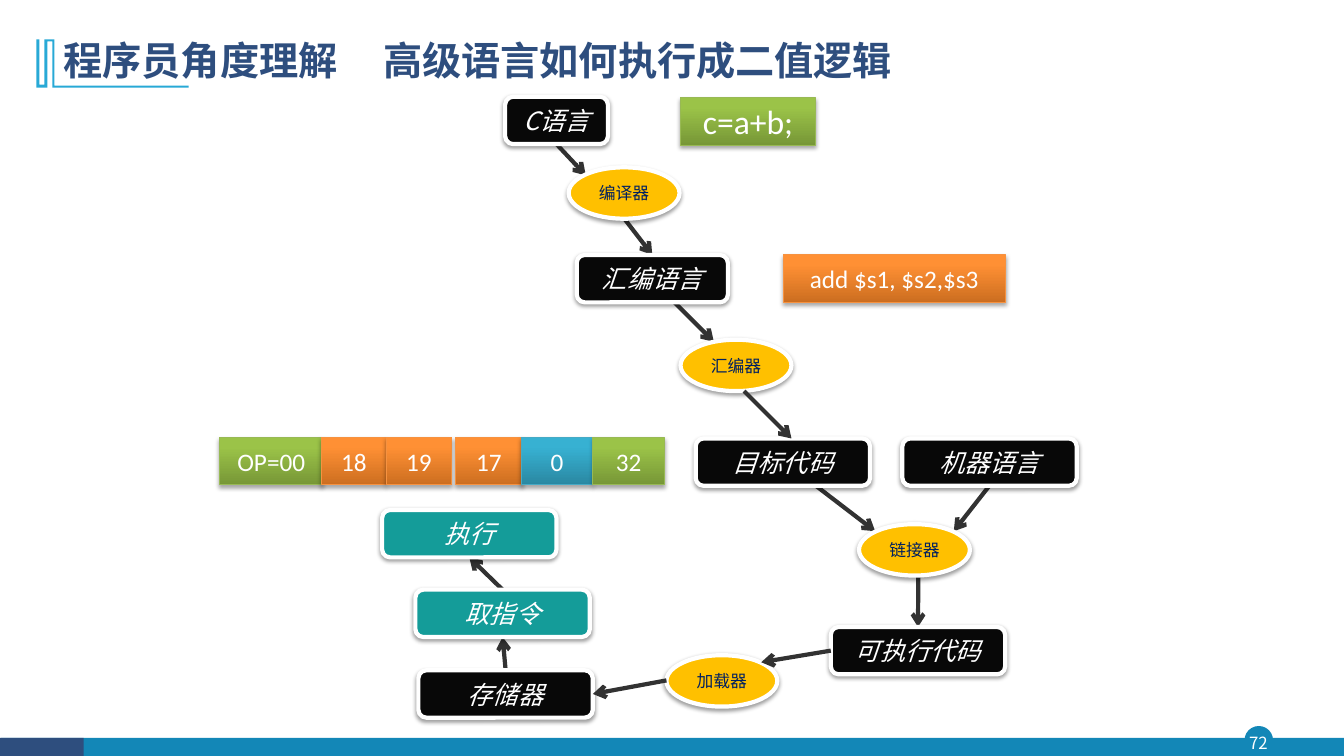
import pptx
import pptx.dml.color
import pptx.enum.shapes
import pptx.enum.text
import pptx.oxml
import pptx.oxml.ns
import pptx.util

PX = 9144  # EMU in one px, 100 px to the inch
RGB = pptx.dml.color.RGBColor
WHITE = RGB(0xFF, 0xFF, 0xFF)
BLACK = RGB(0x08, 0x08, 0x08)
TEAL = RGB(0x14, 0x9C, 0x99)
GOLD = RGB(0xFF, 0xC0, 0x00)
DARK = RGB(0x00, 0x20, 0x60)
NAVY = RGB(0x2E, 0x4E, 0x7E)
BLUE = RGB(0x13, 0x87, 0xB7)
SKY = RGB(0x28, 0xA9, 0xD6)
GREY = RGB(0x32, 0x32, 0x32)
# Bottom, top and line colours of the shaded cells
GREEN = RGB(0x77, 0x97, 0x37), RGB(0x9B, 0xC3, 0x48), RGB(0x98, 0xB9, 0x55)
ORANGE = RGB(0xCC, 0x6E, 0x20), RGB(0xFF, 0x90, 0x34), RGB(0xF6, 0x92, 0x40)
AQUA = RGB(0x2A, 0x88, 0xA2), RGB(0x37, 0xB1, 0xD2), RGB(0x46, 0xAA, 0xC5)

KIND = pptx.enum.shapes.MSO_SHAPE
ALIGN = pptx.enum.text.PP_ALIGN
HAN = "Noto Sans CJK SC"
TOP, LEFT, BOTTOM, RIGHT = range(4)


def px(*nums):
    return [num * PX for num in nums]


def node(parent, tag, **attrs):
    child = pptx.oxml.parse_xml(f"<a:{tag} {pptx.oxml.ns.nsdecls('a')}/>")
    for key, val in attrs.items():
        child.set(key, str(val))
    parent.append(child)
    return child


def write(shape, text, size=18, color=WHITE, face=HAN, bold=False,
          slant=False, align=ALIGN.CENTER, wrap=False, tab=None):
    frame = shape.text_frame
    frame.word_wrap = wrap
    frame.vertical_anchor = pptx.enum.text.MSO_ANCHOR.MIDDLE
    para = frame.paragraphs[0]
    para.alignment = align
    if tab:
        stops = node(para._p.get_or_add_pPr(), "tabLst")
        node(stops, "tab", pos=tab * PX, algn="l")
    run = para.add_run()
    run.text = text
    font = run.font
    font.name, font.size = face, pptx.util.Pt(size)
    font.bold, font.italic = bold, slant
    font.color.rgb = color
    node(run._r.get_or_add_rPr(), "ea", typeface=face)
    return para


def shade(shape, blur, dist, alpha):
    list_ = shape._element.spPr.find(pptx.oxml.ns.qn("a:effectLst"))
    cast = node(list_, "outerShdw", blurRad=pptx.util.Pt(blur),
                dist=pptx.util.Pt(dist), dir=5400000, rotWithShape=0)
    tint = node(cast, "srgbClr", val="000000")
    node(tint, "alpha", val=alpha * 1000)


def plain(slide, kind, at, fill, line=None, width=1):
    shape = slide.shapes.add_shape(kind, *px(*at))
    shape.shadow.inherit = False
    shape.fill.solid()
    shape.fill.fore_color.rgb = fill
    if line is None:
        shape.line.fill.background()
    else:
        shape.line.color.rgb = line
        shape.line.width = pptx.util.Pt(width)
    return shape


def stage(slide, text, x, y, w=173, fill=BLACK):
    box = plain(slide, KIND.ROUNDED_RECTANGLE, (x, y, w, 47), fill, WHITE, 3)
    shade(box, 3.1, 1.6, 38)
    write(box, text, slant=True)
    return box


def tool(slide, text, x, y):
    oval = plain(slide, KIND.OVAL, (x, y, 110, 51), GOLD, WHITE, 3)
    shade(oval, 3.1, 1.6, 38)
    write(oval, text, size=12, color=DARK)


def cell(slide, text, x, y, w, tone, size=18):
    low, high, edge = tone
    box = plain(slide, KIND.RECTANGLE, (x, y, w, 47), low, edge, 0.75)
    box.fill.gradient()
    box.fill.gradient_angle = 90
    for stop, color, place in zip(box.fill.gradient_stops, (low, high), (0, 0.8)):
        stop.color.rgb = color
        stop.position = place
    shade(box, 3.1, 1.8, 35)
    write(box, text, size=size, face="Calibri")


def link(slide, ends, start=None, stop=None, back=True):
    line = slide.shapes.add_connector(
        pptx.enum.shapes.MSO_CONNECTOR.STRAIGHT, *px(*ends))
    if start:
        line.begin_connect(*start)
    if stop:
        line.end_connect(*stop)
    line.line.color.rgb = GREY
    line.line.width = pptx.util.Pt(3)
    node(line.line._get_or_add_ln(), "tailEnd", type="arrow")
    node(line._element.spPr, "effectLst")
    if back:
        slide.shapes._spTree.insert(2, line._element)


def frame(slide):
    # Footer bar and page number
    plain(slide, KIND.OVAL, (1235, 721, 27, 27), BLUE, BLUE)
    plain(slide, KIND.RECTANGLE, (1, 732, 1332, 18), BLUE)
    plain(slide, KIND.RECTANGLE, (0, 732, 83, 18), NAVY)
    page = slide.shapes.add_textbox(*px(1232, 721, 32, 31))
    text = page.text_frame
    text.margin_left = text.margin_right = 0
    text.margin_top = text.margin_bottom = 0
    write(page, "72", size=12)

    # Bracket beside the title
    pen = slide.shapes.build_freeform(54, 39, scale=PX)
    pen.add_line_segments([
        (54, 85), (187, 85), (187, 87), (52, 87), (52, 41), (47, 41), (47, 87),
        (36, 87), (36, 39), (39, 39), (39, 84), (44, 84), (44, 39)])
    mark = pen.convert_to_shape()
    mark.shadow.inherit = False
    mark.fill.solid()
    mark.fill.fore_color.rgb = SKY
    mark.line.fill.background()

    # Title
    title = slide.shapes.title
    title.left, title.top, title.width, title.height = px(53, 28, 1150, 68)
    para = write(title, "程序员角度理解\t高级语言如何执行成二值逻辑", size=28,
                 color=NAVY, bold=True, align=ALIGN.LEFT, wrap=True, tab=317)
    para.line_spacing = 0.9


def main():
    deck = pptx.Presentation()
    deck.slide_width, deck.slide_height = px(1333, 750)
    slide = deck.slides.add_slide(deck.slide_layouts[5])
    frame(slide)

    # Code samples and instruction fields
    cell(slide, "c=a+b;", 675, 97, 134, GREEN, size=24)
    cell(slide, "add $s1, $s2,$s3", 777, 253, 220, ORANGE)
    for text, x, w, tone in [
            ("OP=00", 218, 102, GREEN), ("18", 319, 64, ORANGE),
            ("19", 383, 65, ORANGE), ("17", 452, 66, ORANGE),
            ("0", 517, 71, AQUA), ("32", 588, 71, GREEN)]:
        cell(slide, text, x, 434, w, tone)

    # Program forms and tools
    source = stage(slide, "C语言", 501, 96, w=102)
    asm = stage(slide, "汇编语言", 572, 253, w=150)
    stage(slide, "目标代码", 690, 435)
    stage(slide, "机器语言", 895, 435)
    binary = stage(slide, "可执行代码", 824, 622)
    store = stage(slide, "存储器", 415, 665)
    fetch = stage(slide, "取指令", 412, 585, fill=TEAL)
    run = stage(slide, "执行", 379, 506, fill=TEAL)
    for text, x, y in [("编译器", 564, 166), ("汇编器", 675, 337),
                       ("链接器", 852, 520), ("加载器", 661, 650)]:
        tool(slide, text, x, y)

    # Arrows
    link(slide, (553, 143, 581, 174), start=(source, BOTTOM))
    link(slide, (620, 218, 647, 253), stop=(asm, TOP))
    link(slide, (664, 295, 708, 339))
    link(slide, (738, 388, 785, 435), back=False)
    link(slide, (808, 481, 868, 527))
    link(slide, (982, 481, 946, 527))
    link(slide, (911, 547, 911, 622), stop=(binary, TOP))
    link(slide, (824, 646, 755, 657), start=(binary, LEFT), back=False)
    link(slide, (661, 675, 588, 689), stop=(store, RIGHT), back=False)
    link(slide, (501, 665, 499, 632), start=(store, TOP), stop=(fetch, BOTTOM))
    link(slide, (499, 585, 466, 553), start=(fetch, TOP), stop=(run, BOTTOM))

    deck.save("out.pptx")


if __name__ == "__main__":
    main()
